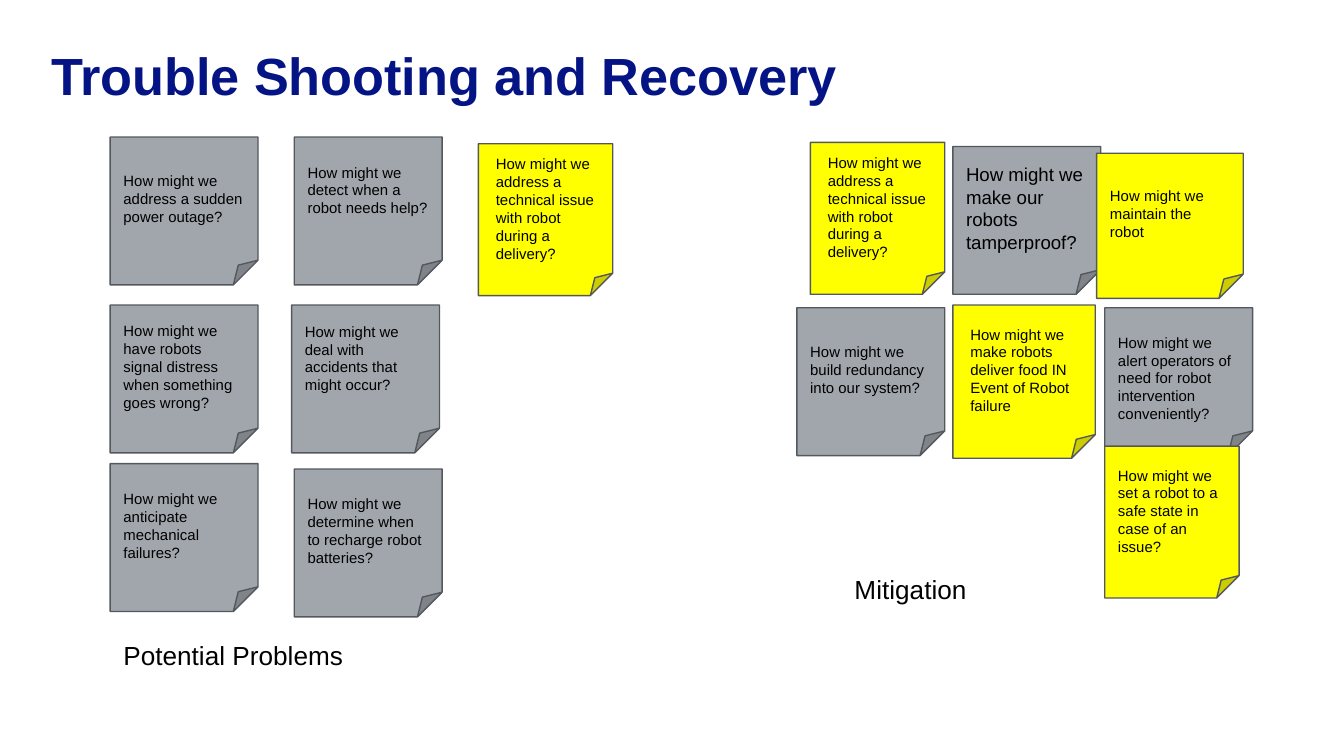
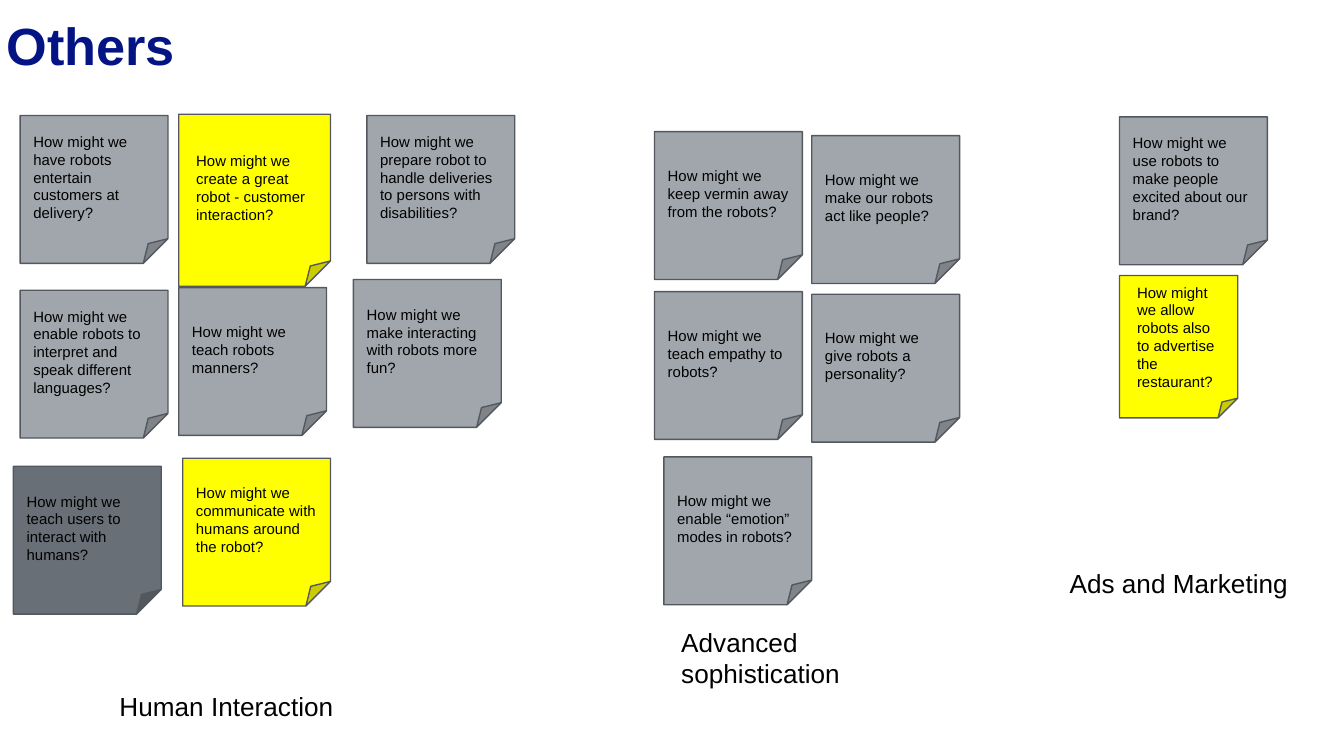
import dataclasses

import pptx
import pptx.dml.color
import pptx.enum.shapes
import pptx.enum.text
import pptx.util

ANCHOR = pptx.enum.text.MSO_ANCHOR
AUTO_SIZE = pptx.enum.text.MSO_AUTO_SIZE
ALIGN = pptx.enum.text.PP_ALIGN


@dataclasses.dataclass(frozen=True)
class Theme:
    font: str = "Arial"
    title_color: str = "051485"
    text_color: str = "000000"
    outline: str = "53585F"
    grey: str = "A1A6AC"
    dark_grey: str = "686F76"
    yellow: str = "FFFF00"
    title_size: float = 28
    label_size: float = 14
    large_note_size: float = 10
    note_size: float = 8
    outline_width: float = 0.75


THEME = Theme()
SLIDE_WIDTH = pptx.util.Inches(10)
SLIDE_HEIGHT = pptx.util.Inches(5.625)
CELL = SLIDE_WIDTH / 100  # square grid: 100 columns across the slide
NOTE_OPENING = "How might we "


@dataclasses.dataclass(frozen=True)
class Note:
    """A sticky note; shift moves its text down by that many rows."""
    question: str
    column: float
    row: float
    columns: float = 11
    rows: float = 11
    fill: str = THEME.grey
    inset: float = 1
    shift: float = 0
    size: float = THEME.note_size


@dataclasses.dataclass(frozen=True)
class Label:
    text: str
    column: float
    row: float
    columns: float
    rows: float = 3.4


def yellow_note(question, column, row, columns=10, rows=11.3, inset=1):
    return Note(question, column, row, columns, rows, THEME.yellow, inset)


TROUBLE_NOTES = [
    Note("build redundancy into our system?", 59.3, 22.9),
    Note("deal with accidents that might occur?", 21.7, 22.7, shift=-0.64),
    Note("detect when a robot needs help?", 21.9, 10.2, shift=-0.64),
    Note("alert operators of need for robot intervention conveniently?",
         82.2, 22.9, shift=0.64),
    Note("address a sudden power outage?", 8.2, 10.2),
    Note("have robots signal distress when something goes wrong?", 8.2, 22.7),
    Note("anticipate mechanical failures?", 8.2, 34.5),
    Note("determine when to recharge robot batteries?", 21.9, 34.9),
    Note("make our robots tamperproof?", 70.9, 10.9,
         size=THEME.large_note_size),
    yellow_note("address a technical issue with robot during a delivery?",
                60.3, 10.6, inset=1.3),
    yellow_note("make robots deliver food IN Event of Robot failure",
                70.9, 22.7, 10.6, 11.4, inset=1.3),
    yellow_note("maintain the robot", 81.6, 11.4, 10.9, 10.8),
    yellow_note("set a robot to a safe state in case of an issue?", 82.2, 33.2),
    yellow_note("address a technical issue with robot during a delivery?",
                35.6, 10.7, inset=1.3),
]
TROUBLE_LABELS = [
    Label("Potential Problems", 8.2, 47.1, 34),
    Label("Mitigation", 62.6, 42.2, 34),
]

OTHER_NOTES = [
    Note("teach users to interact with humans?", 1, 34.7, fill=THEME.dark_grey),
    Note("have robots entertain customers at delivery?", 1.5, 8.6),
    Note("give robots a personality?", 60.4, 21.9),
    yellow_note("communicate with humans around the robot?", 13.6, 34.1, 11, 11),
    Note("use robots to make people excited about our brand?", 83.3, 8.7),
    Note("teach robots manners?", 13.3, 21.4),
    Note("enable “emotion” modes in robots?", 49.4, 34),
    Note("make interacting with robots more fun?", 26.3, 20.8),
    Note("make our robots act like people?", 60.4, 10.1),
    Note("teach empathy to robots?", 48.7, 21.7),
    Note("prepare robot to handle deliveries to persons with disabilities?",
         27.3, 8.6),
    Note("enable robots to interpret and speak different languages?", 1.5, 21.6),
    yellow_note("create a great robot - customer interaction?",
                13.3, 8.5, 11.3, 12.8, inset=1.3),
    yellow_note("allow robots also to advertise the restaurant?",
                83.3, 20.5, 8.8, 10.6, inset=1.3),
    Note("keep vermin away from the robots?", 48.7, 9.8),
]
OTHER_LABELS = [
    Label("Ads and Marketing", 78.6, 41.7, 20.5),
    Label("Advanced sophistication", 49.7, 46.1, 22.9, 5.7),
    Label("Human Interaction", 7.9, 50.9, 32.2),
]


def rgb(color):
    return pptx.dml.color.RGBColor.from_string(color)


def cells(*counts):
    return [round(count * CELL) for count in counts]


def set_attributes(target, values):
    for name, value in values.items():
        setattr(target, name, value)


def write_text(shape, text, size, margins, color=THEME.text_color, bold=False,
               **frame_format):
    """Fill a shape with one paragraph; margins are left, top, right, bottom."""
    frame = shape.text_frame
    sides = ("margin_left", "margin_top", "margin_right", "margin_bottom")
    set_attributes(frame, dict(zip(sides, cells(*margins))))
    set_attributes(frame, {"word_wrap": True, **frame_format})
    paragraph = frame.paragraphs[0]
    paragraph.text = text
    paragraph.alignment = ALIGN.LEFT
    set_attributes(paragraph.font, {
        "name": THEME.font, "size": pptx.util.Pt(size), "bold": bold})
    paragraph.font.color.rgb = rgb(color)


def add_title(slide, text, column, row):
    shape = slide.shapes.add_textbox(*cells(column, row, 93.2, 6.3))
    write_text(shape, text, THEME.title_size, [0.4] * 4, THEME.title_color,
               bold=True, vertical_anchor=ANCHOR.MIDDLE)


def add_label(slide, label):
    shape = slide.shapes.add_textbox(
        *cells(label.column, label.row, label.columns, label.rows))
    write_text(shape, label.text, THEME.label_size, (1, 0.5, 1, 0.5),
               auto_size=AUTO_SIZE.SHAPE_TO_FIT_TEXT)


def add_note(slide, note):
    shape = slide.shapes.add_shape(
        pptx.enum.shapes.MSO_SHAPE.FOLDED_CORNER,
        *cells(note.column, note.row, note.columns, note.rows))
    shape.shadow.inherit = False
    shape.fill.solid()
    shape.fill.fore_color.rgb = rgb(note.fill)
    shape.line.color.rgb = rgb(THEME.outline)
    shape.line.width = pptx.util.Pt(THEME.outline_width)
    margins = (note.inset, note.inset + note.shift,
               note.inset, note.inset - note.shift)
    write_text(shape, NOTE_OPENING + note.question, note.size, margins,
               vertical_anchor=ANCHOR.MIDDLE)


def add_board(presentation, title, title_column, title_row, notes, labels):
    slide = presentation.slides.add_slide(presentation.slide_layouts[6])
    add_title(slide, title, title_column, title_row)
    for note in notes:
        add_note(slide, note)
    for label in labels:
        add_label(slide, label)


def main():
    presentation = pptx.Presentation()
    set_attributes(presentation, {
        "slide_width": SLIDE_WIDTH, "slide_height": SLIDE_HEIGHT})
    add_board(presentation, "Trouble Shooting and Recovery", 3.4, 2.4,
              TROUBLE_NOTES, TROUBLE_LABELS)
    add_board(presentation, "Others", 0.1, 0.2, OTHER_NOTES, OTHER_LABELS)
    presentation.save("out.pptx")


if __name__ == "__main__":
    main()
